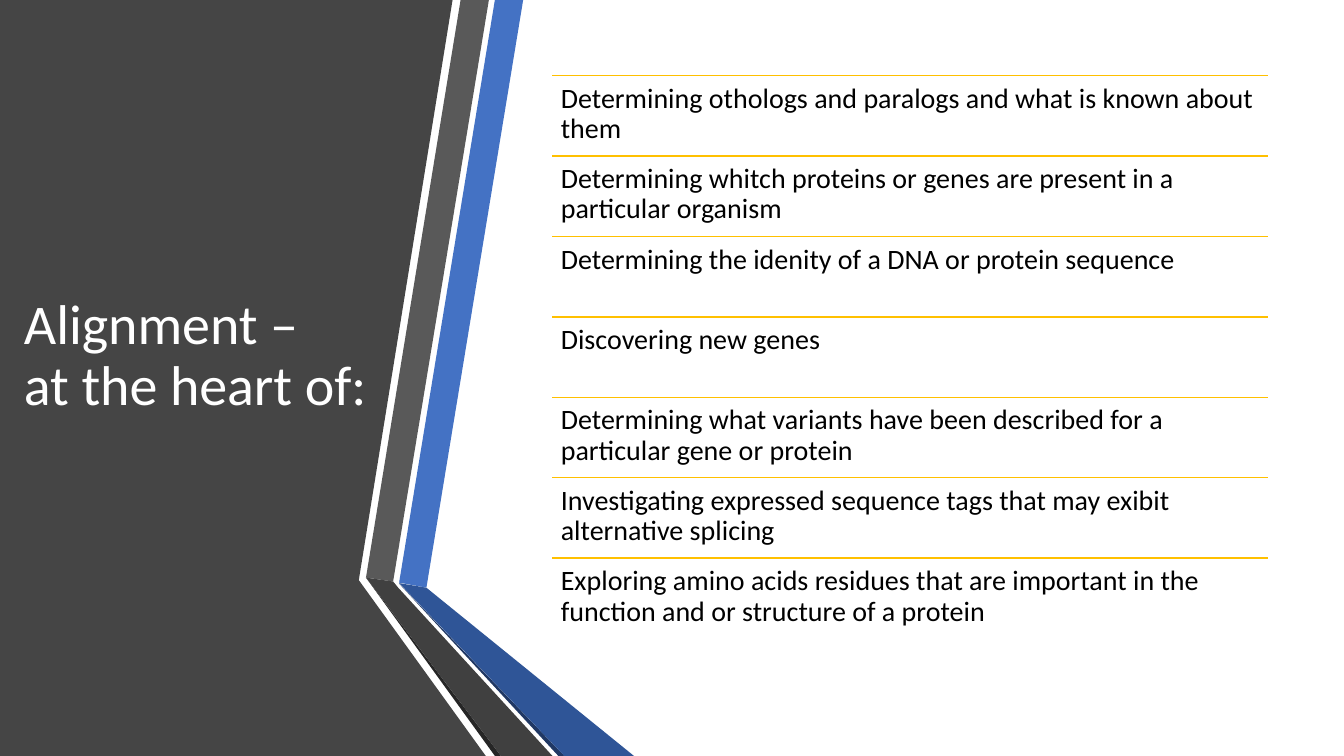
from dataclasses import dataclass

from lxml import etree
from pptx import Presentation
from pptx import util as u
from pptx.dml.color import RGBColor
from pptx.enum import shapes, text
from pptx.oxml import ns


@dataclass(frozen=True)
class Theme:
    font: str = "Calibri"
    title_size: int = 40
    topic_size: int = 20
    title_color: str = "FFFFFF"
    topic_color: str = "000000"
    rule_color: str = "FFC000"
    panel: str = "454545"
    blue: str = "4472C4"
    blue_fold: str = "2F5597"
    blue_edge: str = "203864"
    gray: str = "595959"
    gray_fold: str = "404040"
    gray_edge: str = "262626"


theme = Theme()


def add_label(slide, content, box, size, color, margins, anchor):
    """Add a wrapped text box; box and margins are in points."""
    shape = slide.shapes.add_textbox(*[u.Pt(value) for value in box])
    frame = shape.text_frame
    margin_x, margin_y = [u.Pt(value) for value in margins]
    frame_format = {
        "word_wrap": True,
        "vertical_anchor": anchor,
        "margin_left": margin_x,
        "margin_right": margin_x,
        "margin_top": margin_y,
        "margin_bottom": margin_y,
    }
    for name, value in frame_format.items():
        setattr(frame, name, value)
    paragraph = frame.paragraphs[0]
    paragraph.text = content
    paragraph.line_spacing = 0.9
    for name, value in {"name": theme.font, "size": u.Pt(size)}.items():
        setattr(paragraph.font, name, value)
    paragraph.font.color.rgb = RGBColor.from_string(color)


presentation = Presentation()
presentation.slide_width = u.Pt(960)
presentation.slide_height = u.Pt(540)
slide = presentation.slides.add_slide(presentation.slide_layouts[6])

# Dark panel and folded ribbons, from back to front
outlines = [
    (theme.panel, [(0, 0), (323.3, 0), (256.3, 414.4), (347, 540), (0, 540)]),
    (theme.blue, [(285.1, 416.2), (304.6, 419.8), (373.7, 0), (353.5, 0)]),
    (theme.gray, [(349.2, 0), (329, 0), (261.4, 412.6), (280.8, 415.4)]),
    (theme.gray_edge, [(261.4, 412.6), (353.5, 540), (357.8, 540)]),
    (theme.blue_edge, [(285.1, 416.9), (398.9, 540), (403.2, 540)]),
    (theme.blue_fold, [(285.1, 416.5), (403.2, 540), (452.9, 540), (304.6, 419.8)]),
    (theme.gray_fold, [(394.6, 540), (284.4, 419.8), (280.8, 415.4),
                       (261.4, 412.6), (357.8, 540)]),
]
for color, corners in outlines:
    points = [(u.Pt(x), u.Pt(y)) for x, y in corners]
    builder = slide.shapes.build_freeform(*points[0])
    builder.add_line_segments(points[1:], close=True)
    shape = builder.convert_to_shape()
    shape.shadow.inherit = False
    shape.fill.solid()
    shape.fill.fore_color.rgb = RGBColor.from_string(color)
    shape.line.fill.background()

add_label(slide, "Alignment –\vat the heart of:", (10, 54, 266, 402),
          theme.title_size, theme.title_color, (7.2, 3.6), text.MSO_ANCHOR.MIDDLE)

topics = [
    "Determining othologs and paralogs and what is known about them",
    "Determining whitch proteins or genes are present in a particular organism",
    "Determining the idenity of a DNA or protein sequence",
    "Discovering new genes",
    "Determining what variants have been described for a particular gene or protein",
    "Investigating expressed sequence tags that may exibit alternative splicing",
    "Exploring amino acids residues that are important in the function and or structure of a protein",
]
left, top, width, row_height = 394.6, 54, 511.2, 57.45
for row, topic in enumerate(topics):
    y = top + row * row_height
    rule = slide.shapes.add_connector(
        shapes.MSO_CONNECTOR.STRAIGHT, u.Pt(left), u.Pt(y), u.Pt(left + width), u.Pt(y))
    rule.line.width = u.Pt(1)
    rule.line.color.rgb = RGBColor.from_string(theme.rule_color)
    etree.SubElement(rule._element.spPr, ns.qn("a:effectLst"))
    add_label(slide, topic, (left, y, width, row_height),
              theme.topic_size, theme.topic_color, (6, 6), text.MSO_ANCHOR.TOP)

presentation.save("out.pptx")
